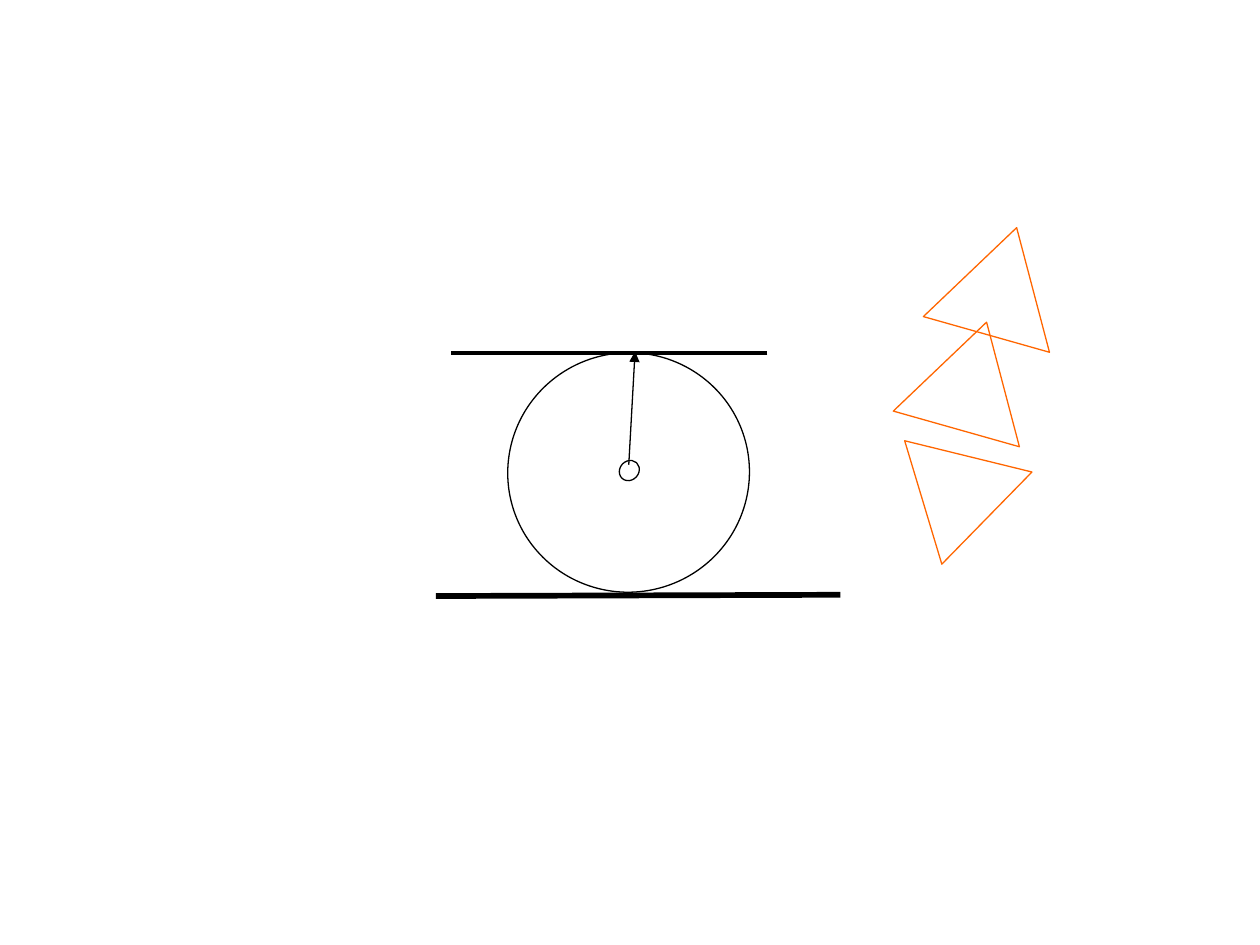
from collections import namedtuple

from lxml.etree import SubElement
from pptx import Presentation
from pptx.dml.color import RGBColor
from pptx.enum.shapes import MSO_CONNECTOR as Connector, MSO_SHAPE as Shape
from pptx.oxml.ns import qn
from pptx.util import Pt

BLACK = RGBColor(0x00, 0x00, 0x00)
ORANGE = RGBColor(0xFF, 0x66, 0x00)
THIN = 0.75

Box = namedtuple("Box", "left top width height")


def add_outline(shapes, kind, box, rotation, color):
    shape = shapes.add_shape(kind, *(Pt(length) for length in box))
    shape.rotation = rotation
    shape.shadow.inherit = False
    shape.fill.background()
    shape.line.color.rgb = color
    shape.line.width = Pt(THIN)


def add_line(shapes, box, start, end, weight, arrow=False):
    """Draw a line between two points measured from the box corner."""
    ends = [Pt(corner + offset)
            for point in (start, end)
            for corner, offset in zip((box.left, box.top), point)]
    line = shapes.add_connector(Connector.STRAIGHT, *ends)
    line.line.color.rgb = BLACK
    line.line.width = Pt(weight)
    properties = line._element.spPr
    if arrow:
        SubElement(properties.find(qn("a:ln")), qn("a:tailEnd"), type="triangle")
    SubElement(properties, qn("a:effectLst"))


def draw_wheel(page, box):
    """Wheel with hub and radius arrow, held between two rails."""
    shapes = page.shapes.add_group_shape().shapes
    # Upper rail
    add_line(shapes, box, (189.4, 0), (8.6, 0), 2.25)
    # Wheel
    rim = Box(box.left + 41, box.top, 138.2, 136.8)
    add_outline(shapes, Shape.OVAL, rim, 346.9, BLACK)
    # Radius
    add_line(shapes, box, (110.2, 64), (113.8, -0.7), THIN, arrow=True)
    # Lower rail
    add_line(shapes, box, (box.width, box.height - 0.7), (0, box.height), 3.25)
    # Hub
    hub = Box(box.left + 105.1, box.top + 61.2, 10.8, 12.2)
    add_outline(shapes, Shape.OVAL, hub, 42.3, BLACK)


def draw_triangles(page, box):
    """Three equal tilted triangles, the last one turned upside down."""
    width, height = 74.9, 63.4
    tilt = 15.8
    for left, top, rotation in (
        (box.width - width, 0, tilt),
        (9.4, 54, tilt),
        (0, box.height - height, tilt + 178),
    ):
        place = Box(box.left + left, box.top + top, width, height)
        add_outline(page.shapes, Shape.ISOSCELES_TRIANGLE, place, rotation, ORANGE)


def main():
    deck = Presentation()
    deck.slide_width, deck.slide_height = Pt(720), Pt(540)
    page = deck.slides.add_slide(deck.slide_layouts[6])
    draw_wheel(page, Box(249.1, 201.6, 231.1, 139))
    draw_triangles(page, Box(508.3, 128.9, 101.5, 194.4))
    deck.save("out.pptx")


if __name__ == "__main__":
    main()
